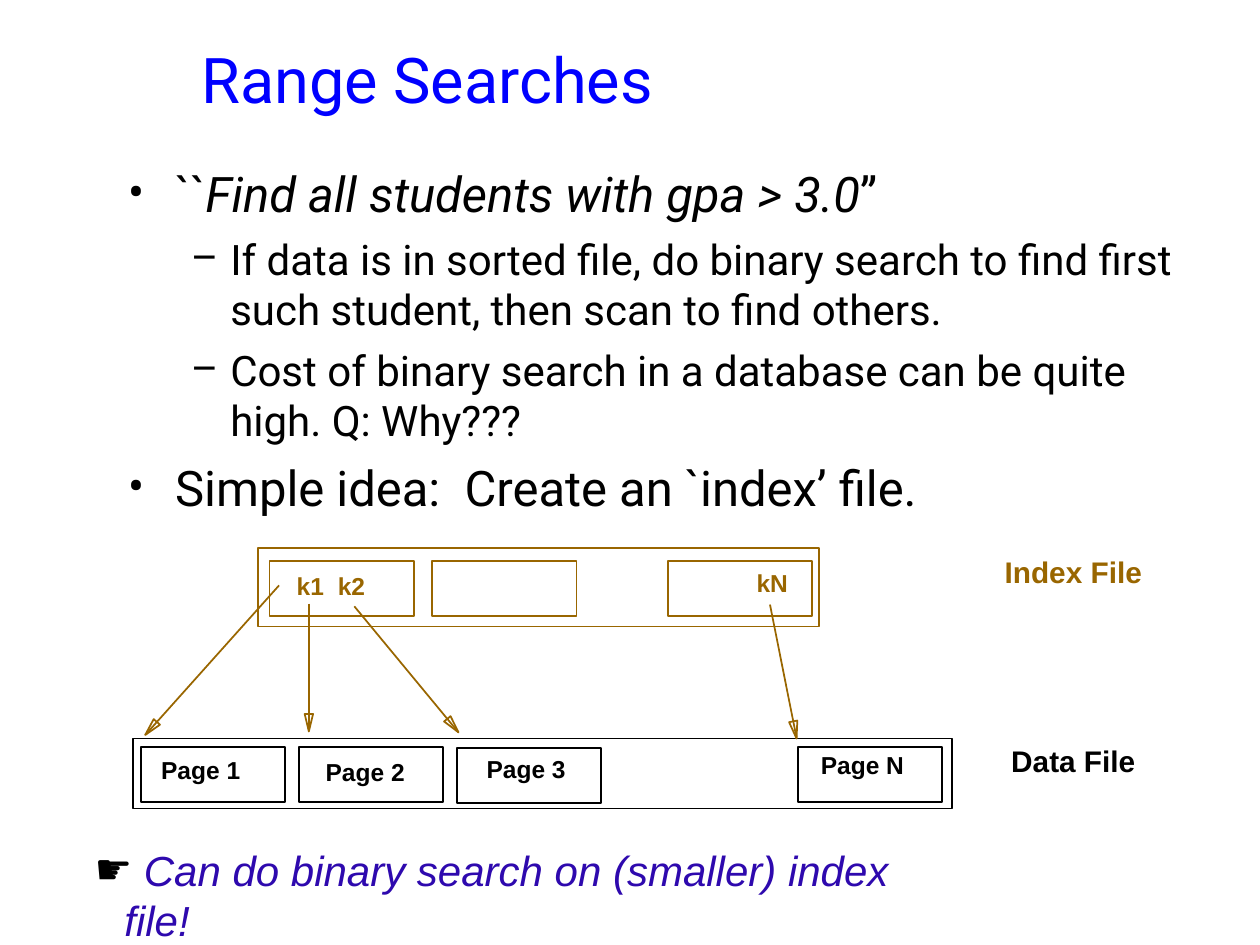
from math import hypot
from lxml.etree import SubElement
from pptx import Presentation
from pptx.dml.color import RGBColor
from pptx.enum.shapes import MSO_CONNECTOR as CONN, MSO_SHAPE as SHAPE
from pptx.enum.text import MSO_ANCHOR as ANCHOR
from pptx.oxml.ns import qn
from pptx.util import Pt

COLORS = {"black": "000000", "title": "0000FF", "index": "996600", "note": "2E09AE"}

TITLE = [("Range Searches", "title", False)]
BODY = [
    (0, [("``", "black", False), ("Find all students with gpa > 3.0", "black", True),
         ("’’", "black", False)]),
    (1, [("If data is in sorted file, do binary search to find first such student, "
          "then scan to find others.", "black", False)]),
    (1, [("Cost of binary search in a database can be quite high. Q: Why???", "black", False)]),
    (0, [("Simple idea:  Create an `index’ file.", "black", False)]),
]
LEVELS = [
    {"size": 28, "before": 7, "margin": 27, "hang": 27, "bullet": "•"},
    {"size": 24, "before": 6, "margin": 58.5, "hang": 22.5, "bullet": "–"},
]
NOTE = [(" ", "black", False), ("Can do binary search on (smaller) index file!", "note", True)]

BOX_W, BOX_H = 82.5, 31.5
FILES = [
    {"color": "black", "frame": (76, 422, 468, 40),
     "boxes": [(80.5, 427), (170.75, 427), (261, 427.5), (456, 427)]},
    {"color": "index", "frame": (147.5, 313, 320.5, 45),
     "boxes": [(154, 320.5), (247, 320.5), (381.75, 320.5)]},
]
LABELS = [
    ("Page 1", 85, 428, 64, 14, "black"),
    ("Page 2", 179, 429, 64, 14, "black"),
    ("Page 3", 271, 427.25, 64, 14, "black"),
    ("Page N", 462, 425, 66, 14, "black"),
    ("Data File", 570.75, 421, 90, 17, "black"),
    ("k1", 162.5, 322.75, 36, 14, "index"),
    ("k2", 186, 322.75, 36, 14, "index"),
    ("kN", 425.25, 321, 40, 14, "index"),
    ("Index File", 567, 313, 97, 17, "index"),
]
ARROWS = [
    ((159.5, 334.5), (83, 420)),
    ((176.5, 345), (176.5, 418)),
    ((202.5, 346.5), (262, 418.5)),
    ((440, 345.5), (455.25, 422)),
]
HEAD_LENGTH, HEAD_HALF = 10, 2.4


def rgb(name):
    return RGBColor.from_string(COLORS[name])


def add_runs(p, runs, size, font, bold=False):
    for text, color, italic in runs:
        r = p.add_run()
        r.text = text
        f = r.font
        f.name, f.size, f.bold, f.italic = font, Pt(size), bold, italic
        f.color.rgb = rgb(color)


def add_bullet(p, char, margin, hang, font):
    ppr = p._p.get_or_add_pPr()
    ppr.set("marL", str(Pt(margin)))
    ppr.set("indent", str(-Pt(hang)))
    color = SubElement(ppr, qn("a:buClr"))
    SubElement(color, qn("a:srgbClr"), val=COLORS["black"])
    SubElement(ppr, qn("a:buFont"), typeface=font)
    SubElement(ppr, qn("a:buChar"), char=char)


def add_text(s, left, top, width, height, wrap=True):
    tf = s.shapes.add_textbox(Pt(left), Pt(top), Pt(width), Pt(height)).text_frame
    tf.word_wrap = wrap
    return tf


def outline(sp, color):
    sp.shadow.inherit = False
    sp.fill.background()
    sp.line.color.rgb = rgb(color)
    sp.line.width = Pt(1)


def add_box(s, left, top, width, height, color):
    sp = s.shapes.add_shape(SHAPE.RECTANGLE, Pt(left), Pt(top), Pt(width), Pt(height))
    outline(sp, color)


def add_arrow(s, start, end, color):
    (x1, y1), (x2, y2) = start, end
    line = s.shapes.add_connector(CONN.STRAIGHT, Pt(x1), Pt(y1), Pt(x2), Pt(y2))
    line.line.color.rgb = rgb(color)
    line.line.width = Pt(1)
    SubElement(line._element.spPr, qn("a:effectLst"))
    length = hypot(x2 - x1, y2 - y1)
    ux, uy = (x2 - x1) / length, (y2 - y1) / length
    base_x, base_y = x2 - HEAD_LENGTH * ux, y2 - HEAD_LENGTH * uy
    corners = [(Pt(base_x - side * uy), Pt(base_y + side * ux))
               for side in (HEAD_HALF, -HEAD_HALF)]
    builder = s.shapes.build_freeform(Pt(x2), Pt(y2))
    builder.add_line_segments(corners, close=True)
    outline(builder.convert_to_shape(), color)


def main():
    prs = Presentation()
    prs.slide_width, prs.slide_height = Pt(720), Pt(540)
    s = prs.slides.add_slide(prs.slide_layouts[6])

    tf = add_text(s, 108, 0, 612, 90)
    tf.vertical_anchor = ANCHOR.MIDDLE
    add_runs(tf.paragraphs[0], TITLE, 36, "Roboto")

    tf = add_text(s, 66, 90, 624, 396)
    for i, (level, runs) in enumerate(BODY):
        p = tf.add_paragraph() if i else tf.paragraphs[0]
        style = LEVELS[level]
        p.level = level
        p.space_before = Pt(style["before"])
        add_bullet(p, style["bullet"], style["margin"], style["hang"], "Roboto")
        add_runs(p, runs, style["size"], "Roboto")

    p = add_text(s, 47, 479, 500, 36).paragraphs[0]
    add_bullet(p, "☛", 17, 17, "Arial")
    add_runs(p, NOTE, 24, "Arial")

    for file in FILES:
        add_box(s, *file["frame"], file["color"])
        for left, top in file["boxes"]:
            add_box(s, left, top, BOX_W, BOX_H, file["color"])
    for start, end in ARROWS:
        add_arrow(s, start, end, "index")
    for text, left, top, width, size, color in LABELS:
        tf = add_text(s, left, top, width, size + 10)
        add_runs(tf.paragraphs[0], [(text, color, False)], size, "Arial", bold=True)

    prs.save("out.pptx")


if __name__ == "__main__":
    main()
